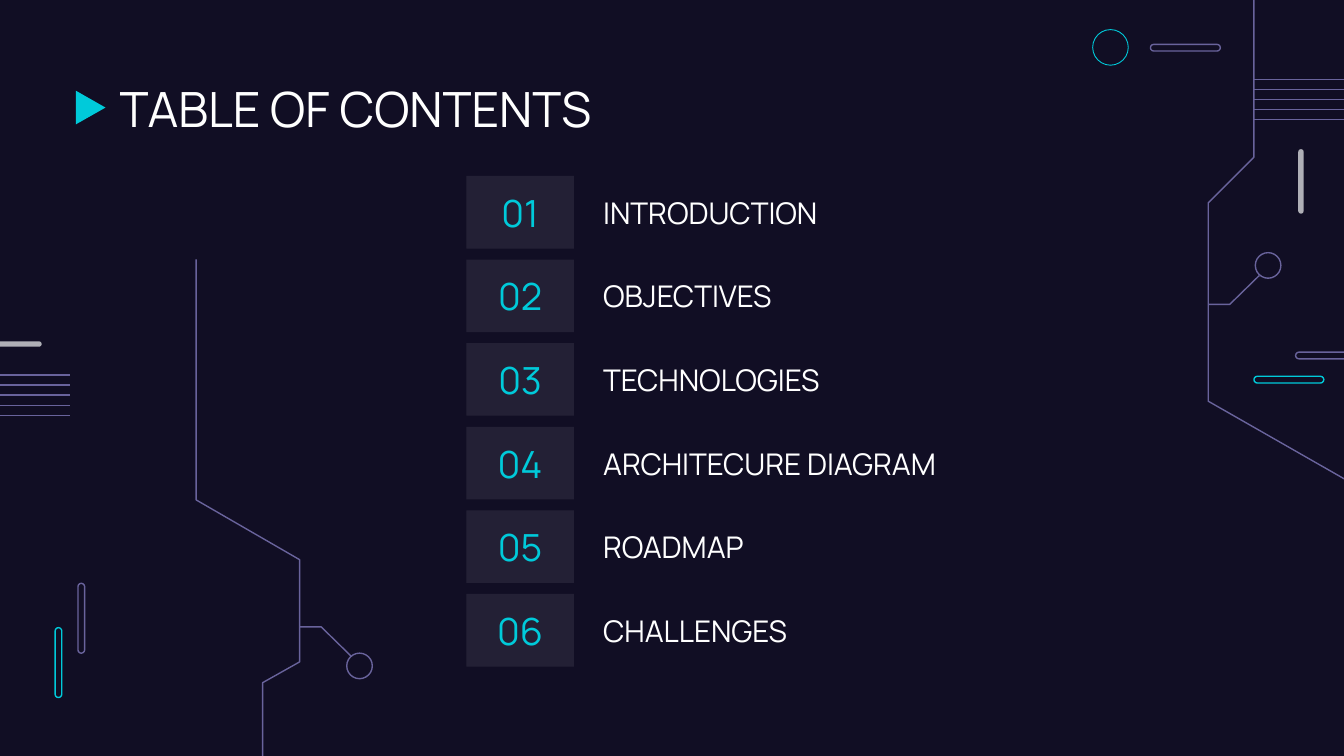
from lxml import etree
from pptx import Presentation
from pptx.dml.color import RGBColor
from pptx.enum.shapes import MSO_CONNECTOR, MSO_SHAPE
from pptx.enum.text import MSO_ANCHOR, MSO_AUTO_SIZE, PP_ALIGN
from pptx.oxml.ns import qn
from pptx.util import Inches, Pt

STRAIGHT = MSO_CONNECTOR.STRAIGHT
RECT, OVAL = MSO_SHAPE.RECTANGLE, MSO_SHAPE.OVAL
PILL, TRIANGLE = MSO_SHAPE.ROUNDED_RECTANGLE, MSO_SHAPE.FLOWCHART_MERGE
LEFT, CENTER = PP_ALIGN.LEFT, PP_ALIGN.CENTER

COLORS = {"night": "110E24", "cyan": "00CADA", "violet": "69639C",
          "grey": "AFAFB6", "white": "FFFFFF"}
FONT = "Manrope"
FRAME = {"word_wrap": True, "auto_size": MSO_AUTO_SIZE.NONE,
         "vertical_anchor": MSO_ANCHOR.MIDDLE}
CELL = 0.1  # inches per grid column and row
COLS, ROWS = 100, 56.25


def cells(*values):
    return [Inches(v * CELL) for v in values]


def rgb(name):
    return RGBColor.from_string(COLORS[name])


class Deck:
    """Style and current slide; all lengths are grid columns and rows."""

    def __init__(self):
        self.prs = Presentation()
        self.prs.slide_width, self.prs.slide_height = cells(COLS, ROWS)

    def new_slide(self):
        self.s = self.prs.slides.add_slide(self.prs.slide_layouts[5])
        fill = self.s.background.fill
        fill.solid()
        fill.fore_color.rgb = rgb("night")

    def paint(self, sp, fill=None, line=None, weight=0.75, alpha=None):
        sp.shadow.inherit = False
        if fill:
            sp.fill.solid()
            sp.fill.fore_color.rgb = rgb(fill)
            if alpha:
                color = sp.fill._xPr.find(".//" + qn("a:srgbClr"))
                etree.SubElement(color, qn("a:alpha"), val=str(alpha * 1000))
        else:
            sp.fill.background()
        if line:
            sp.line.color.rgb = rgb(line)
            sp.line.width = Pt(weight)
        else:
            sp.line.fill.background()

    def set_text(self, sp, text, size, color="white", align=LEFT):
        tf = sp.text_frame
        for name, value in FRAME.items():
            setattr(tf, name, value)
        p = tf.paragraphs[0]
        p.alignment = align
        r = p.add_run()
        r.text = text
        for name, value in {"name": FONT, "size": Pt(size), "bold": False}.items():
            setattr(r.font, name, value)
        r.font.color.rgb = rgb(color)

    def title(self, text, box, size):
        sp = self.s.shapes.title
        for name, value in zip(("left", "top", "width", "height"), cells(*box)):
            setattr(sp, name, value)
        self.set_text(sp, text, size)

    def label(self, text, box, size):
        self.set_text(self.s.shapes.add_textbox(*cells(*box)), text, size)

    def shape(self, kind, box, **look):
        sp = self.s.shapes.add_shape(kind, *cells(*box))
        self.paint(sp, **look)
        return sp

    def pill(self, box, **look):
        self.shape(PILL, box, **look).adjustments[0] = 0.5

    def trace(self, *points):
        """Draw an open circuit track through the points."""
        start, *rest = [cells(*pt) for pt in points]
        fb = self.s.shapes.build_freeform(*start)
        fb.add_line_segments(rest, close=False)
        self.paint(fb.convert_to_shape(), line="violet")

    def lines(self, x1, x2, top, count=5, gap=0.75):
        """Draw a stack of evenly spaced horizontal lines."""
        for i in range(count):
            y = top + i * gap
            cx = self.s.shapes.add_connector(STRAIGHT, *cells(x1, y, x2, y))
            cx.line.color.rgb = rgb("violet")
            cx.line.width = Pt(0.75)
            etree.SubElement(cx._element.spPr, qn("a:effectLst"))


def draw_circuits(deck):
    long, thin = 5.2, 0.5
    for x, y, color in ((4.1, 46.7, "cyan"), (5.8, 43.4, "violet")):
        deck.pill((x, y, thin, long), line=color)
    for x, y, color in ((93.3, 28, "cyan"), (96.4, 26.2, "violet"),
                        (85.6, 3.3, "violet")):
        deck.pill((x, y, long, thin), line=color)
    deck.pill((96.6, 11.1, 0.4, 4.8), fill="grey")
    deck.pill((-1.8, 25.4, 4.9, 0.4), fill="grey")

    deck.shape(OVAL, (81.3, 2.2, 2.65, 2.65), line="cyan", weight=0.47)
    for x, y in ((93.4, 18.8), (25.8, 48.6)):
        deck.shape(OVAL, (x, y, 1.9, 1.9), line="violet")

    deck.trace((93.7, 20.5), (91.5, 22.65), (89.9, 22.65))
    deck.trace((101.2, 36.3), (89.9, 29.85), (89.9, 15.1), (93.3, 11.7), (93.3, -0.6))
    deck.trace((26.1, 48.8), (23.9, 46.65), (22.3, 46.65))
    deck.trace((14.6, 19.3), (14.6, 37.2), (22.3, 41.65), (22.3, 49.25),
               (19.55, 50.8), (19.55, 57.1))
    deck.lines(93.3, 108, top=5.9)
    deck.lines(5.2, -6.1, top=27.9)


def draw_contents(deck):
    topics = ("INTRODUCTION", "OBJECTIVES", "TECHNOLOGIES",
              "ARCHITECURE DIAGRAM", "ROADMAP", "CHALLENGES")
    top, pitch, height = 13.1, 6.22, 5.4
    for i, topic in enumerate(topics):
        y = top + i * pitch
        tile = deck.shape(RECT, (34.7, y, 8, height), fill="white", alpha=8)
        deck.set_text(tile, f"{i + 1:02}", 20, "cyan", CENTER)
        deck.label(topic, (43.9, y, 29.7, height), 16)


def main():
    deck = Deck()
    deck.new_slide()
    draw_circuits(deck)
    deck.shape(TRIANGLE, (5.5, 6.9, 2.5, 2.2), fill="cyan").rotation = 270
    deck.title("TABLE OF CONTENTS", (7.9, 4.9, 84.3, 6.3), 26)
    draw_contents(deck)
    deck.prs.save("out.pptx")


if __name__ == "__main__":
    main()
